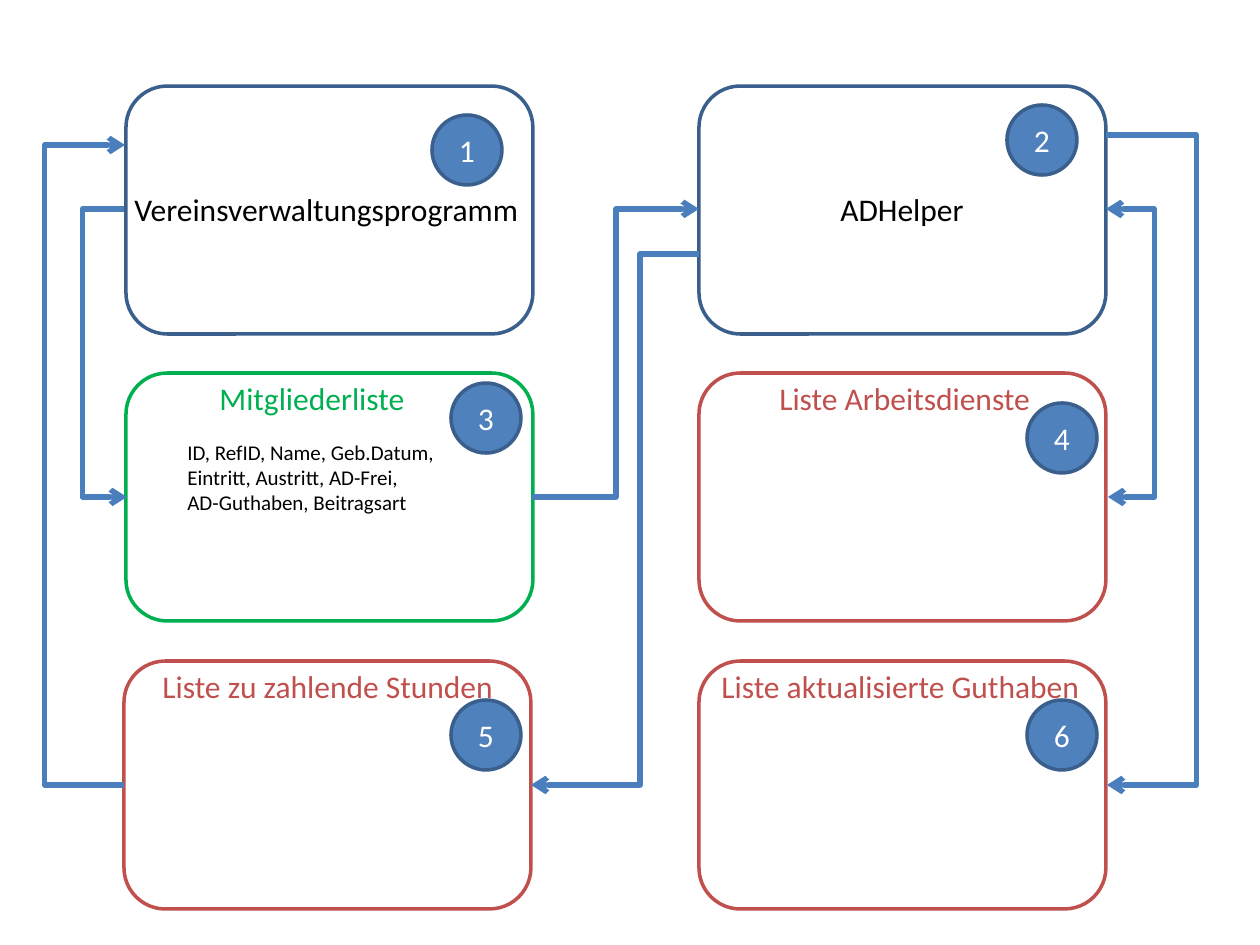
from lxml import etree
from pptx import Presentation, util as u
from pptx.dml.color import RGBColor
from pptx.enum import shapes as sh, text as tx
from pptx.oxml.ns import qn

PX = 914400 // 126
BLUE, EDGE, WIRE = "4F81BD", "3A5F8C", "4B7EBC"
GREEN, RED, BLACK, WHITE = "00B050", "C0504D", "000000", "FFFFFF"
BOX_W, BOX_H, DISC = 407, 248, 70
LEFT, RIGHT = 126, 699
ROWS = [86, 373, 661]

# number, box x, row, edge, title, title colour, (title x, y offset, width), disc place
BOXES = [
    (1, LEFT, 0, EDGE, "Vereinsverwaltungsprogramm", BLACK, (122, 98, 413), (432, 115)),
    (2, RIGHT, 0, EDGE, "ADHelper", BLACK, (828, 98, 150), (1007, 105)),
    (3, LEFT, 1, GREEN, "Mitgliederliste", GREEN, (207, 0, 213), (451, 383)),
    (4, RIGHT, 1, RED, "Liste Arbeitsdienste", RED, (767, 0, 278), (1027, 403)),
    (5, LEFT - 2, 2, RED, "Liste zu zahlende Stunden", RED, (150, 0, 360), (451, 700)),
    (6, RIGHT, 2, RED, "Liste aktualisierte Guthaben", RED, (709, 0, 387), (1027, 700)),
]
FIELDS = {3: ["ID, RefID, Name, Geb.Datum,", "Eintritt, Austritt, AD-Frei,",
              "AD-Guthaben, Beitragsart"]}

# start, x of the upright part, end, ends that carry an arrow
ROUTES = [
    ((124, 209), 82, (127, 497), ["tail"]),
    ((1106, 209), 1155, (1108, 497), ["head", "tail"]),
    ((532, 497), 616, (699, 209), ["tail"]),
    ((1106, 135), 1197, (1107, 785), ["tail"]),
    ((699, 254), 640, (531, 785), ["tail"]),
    ((124, 785), 44, (125, 145), ["tail"]),
]


def px(*vals):
    return [v * PX for v in vals]


def rgb(code):
    return RGBColor.from_string(code)


def write(shape, lines, size=18, color=BLACK, align=tx.PP_ALIGN.LEFT):
    frame = shape.text_frame
    for i, line in enumerate(lines):
        par = frame.paragraphs[0] if i == 0 else frame.add_paragraph()
        par.alignment = align
        run = par.add_run()
        run.text = line
        run.font.name, run.font.size = "Calibri", u.Pt(size)
        run.font.color.rgb = rgb(color)


def label(home, lines, x, y, w, h, **form):
    item = home.add_textbox(*px(x, y, w, h))
    item.text_frame.word_wrap = False
    item.text_frame.auto_size = tx.MSO_AUTO_SIZE.SHAPE_TO_FIT_TEXT
    write(item, lines, **form)


def draw(home, kind, x, y, w, h, edge, fill=None):
    item = home.add_shape(kind, *px(x, y, w, h))
    item.shadow.inherit = False
    item.line.color.rgb, item.line.width = rgb(edge), u.Pt(2)
    if fill:
        item.fill.solid()
        item.fill.fore_color.rgb = rgb(fill)
    else:
        item.fill.background()
    return item


def route(home, start, mid, end, tips):
    """Draw an elbow whose upright part stands at x = mid."""
    wire = home.add_connector(sh.MSO_CONNECTOR.ELBOW, *px(*start, *end))
    wire.line.color.rgb, wire.line.width = rgb(WIRE), u.Pt(3)
    props = wire._element.spPr
    share = round((mid - start[0]) / (end[0] - start[0]) * 100000)
    guides = props.find(qn("a:prstGeom")).get_or_add_avLst()
    etree.SubElement(guides, qn("a:gd"), name="adj1", fmla=f"val {share}")
    for tip in tips:
        etree.SubElement(wire.line._get_or_add_ln(), qn(f"a:{tip}End"), type="arrow")
    etree.SubElement(props, qn("a:effectLst"))


def main():
    deck = Presentation()
    deck.slide_width, deck.slide_height = u.Inches(10), u.Inches(7.5)
    page = deck.slides.add_slide(deck.slide_layouts[6]).shapes

    for num, x, row, edge, title, color, (left, drop, wide), _ in BOXES:
        top = ROWS[row]
        group = page.add_group_shape().shapes
        draw(group, sh.MSO_SHAPE.ROUNDED_RECTANGLE, x, top, BOX_W, BOX_H, edge)
        label(group, [title], left, top + drop, wide, 51, color=color)
        if num in FIELDS:
            label(group, FIELDS[num], x + 49, top + 60, 275, 90, size=12)

    for way in ROUTES:
        route(page, *way)

    for num, *_, place in BOXES:
        disc = draw(page, sh.MSO_SHAPE.OVAL, *place, DISC, DISC, EDGE, BLUE)
        disc.text_frame.vertical_anchor = tx.MSO_ANCHOR.MIDDLE
        write(disc, [str(num)], color=WHITE, align=tx.PP_ALIGN.CENTER)

    deck.save("out.pptx")


if __name__ == "__main__":
    main()
